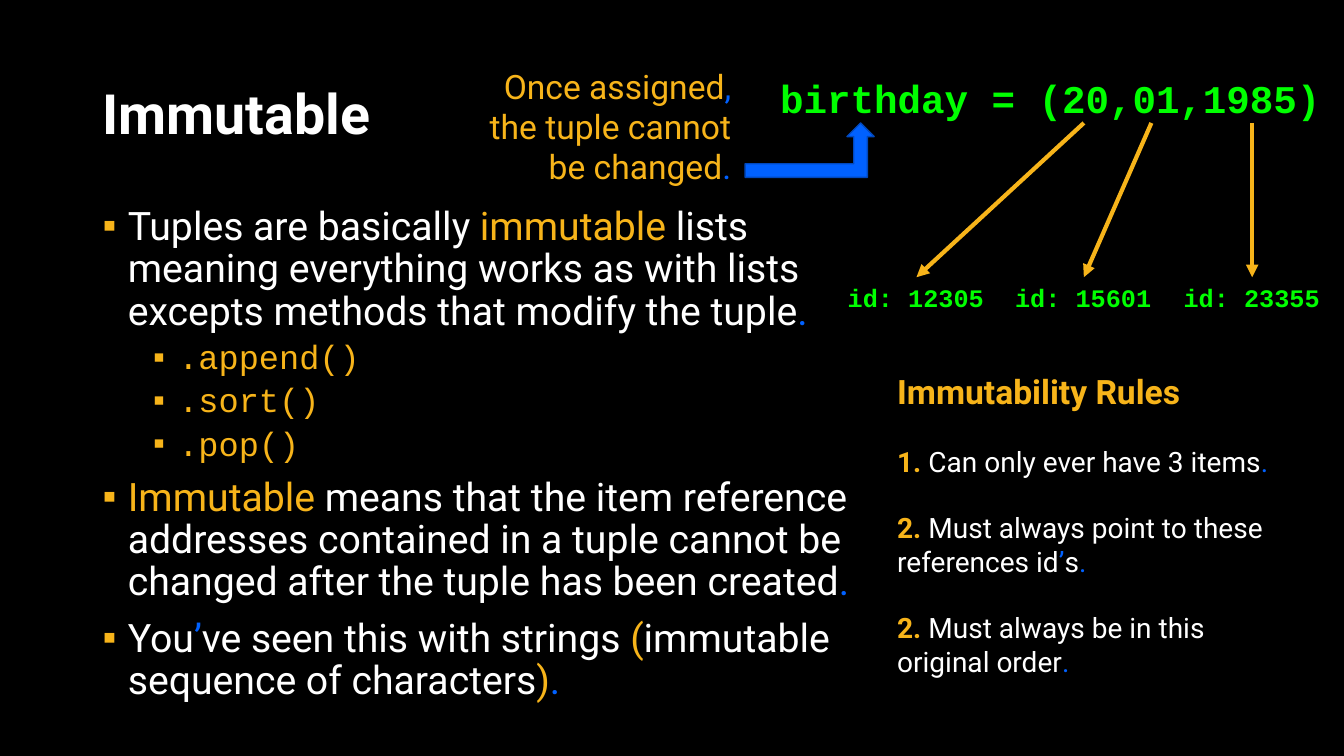
import pptx
import pptx.dml.color
import pptx.enum.shapes
import pptx.enum.text
import pptx.oxml.ns
import pptx.util
from lxml import etree
from pptx.util import Inches

WHITE, GOLD, BLUE, GREEN = "FFFFFF", "F7B41A", "0061FF", "00FF00"
ALIGN = pptx.enum.text.PP_ALIGN
SHAPES = pptx.enum.shapes.MSO_SHAPE


def rgb(code):
    return pptx.dml.color.RGBColor.from_string(code)


def write(box, runs, size, font="Roboto", bold=False, align=ALIGN.LEFT,
          before=0, spacing=1.0, indent=None):
    frame = box.text_frame
    paragraph = frame.paragraphs[0]
    if paragraph.runs:
        paragraph = frame.add_paragraph()
    paragraph.alignment = align
    paragraph.line_spacing = spacing
    paragraph.space_before = pptx.util.Pt(before)
    for text, colour, *emphasis in runs:
        run = paragraph.add_run()
        run.text = text
        run.font.name = font
        run.font.size = pptx.util.Pt(size)
        run.font.bold = emphasis[0] if emphasis else bold
        run.font.color.rgb = rgb(colour)
    if indent is not None:
        props = paragraph._p.get_or_add_pPr()
        props.set("marL", str(Inches(indent)))
        props.set("indent", str(Inches(-0.25)))
        qn = pptx.oxml.ns.qn
        bullet_colour = etree.SubElement(props, qn("a:buClr"))
        etree.SubElement(bullet_colour, qn("a:srgbClr"), val=GOLD)
        etree.SubElement(props, qn("a:buFont"), typeface="Arial")
        etree.SubElement(props, qn("a:buChar"), char="▪")


presentation = pptx.Presentation()
presentation.slide_width = Inches(13.33)
presentation.slide_height = Inches(7.5)
slide = presentation.slides.add_slide(presentation.slide_layouts[6])
slide.background.fill.solid()
slide.background.fill.fore_color.rgb = rgb("000000")
shapes = slide.shapes

title = shapes.add_textbox(Inches(0.92), Inches(0.8), Inches(3.4), Inches(0.72))
title.text_frame.vertical_anchor = pptx.enum.text.MSO_ANCHOR.MIDDLE
write(title, [("Immutable", WHITE)], 39.6, bold=True, spacing=0.9)

explanation = shapes.add_textbox(Inches(0.92), Inches(2), Inches(7.94), Inches(5.29))
explanation.text_frame.word_wrap = True
point = dict(size=28, before=10, spacing=0.9, indent=0.25)
write(explanation, [
    ("Tuples are basically ", WHITE), ("immutable", GOLD),
    (" lists meaning everything works as with lists excepts methods that modify the tuple", WHITE),
    (".", BLUE)], **point)
for method in (".append()", ".sort()", ".pop()"):
    write(explanation, [(method, GOLD)], 24, font="Courier New",
          before=5, spacing=0.9, indent=0.75)
write(explanation, [
    ("Immutable", GOLD),
    (" means that the item reference addresses contained in a tuple cannot be changed "
     "after the tuple has been created", WHITE),
    (".", BLUE)], **point)
write(explanation, [
    ("You", WHITE), ("’", BLUE), ("ve seen this with strings ", WHITE), ("(", GOLD),
    ("immutable sequence of characters", WHITE), (")", GOLD), (".", BLUE)], **point)

assignment = shapes.add_textbox(Inches(7.64), Inches(0.69), Inches(5.6), Inches(0.57))
assignment.text_frame.word_wrap = False
write(assignment, [("birthday = (20,01,1985)", GREEN)], 28, font="Courier New", bold=True)

warning = shapes.add_textbox(Inches(4.43), Inches(0.6), Inches(2.92), Inches(1.31))
warning.text_frame.word_wrap = True
write(warning, [("Once assigned", GOLD), (", ", BLUE),
                ("the tuple cannot be changed", GOLD), (".", BLUE)], 24, align=ALIGN.RIGHT)

warning_arrow = shapes.add_shape(SHAPES.BENT_UP_ARROW, Inches(7.39), Inches(1.22),
                                 Inches(1.28), Inches(0.54))
warning_arrow.shadow.inherit = False
warning_arrow.fill.solid()
warning_arrow.fill.fore_color.rgb = rgb(BLUE)
warning_arrow.line.color.rgb = rgb("0048BD")
warning_arrow.line.width = pptx.util.Pt(1)

references = [("12305", 8.31, 10.75), ("15601", 9.97, 11.42), ("23355", 11.64, 12.42)]
for address, left, item_x in references:
    pointer = shapes.add_connector(pptx.enum.shapes.MSO_CONNECTOR.STRAIGHT,
                                   Inches(item_x), Inches(1.22),
                                   Inches(left + 0.78), Inches(2.75))
    pointer.line.color.rgb = rgb(GOLD)
    pointer.line.width = pptx.util.Pt(3)
    etree.SubElement(pointer.line._get_or_add_ln(), pptx.oxml.ns.qn("a:tailEnd"), type="triangle")
    etree.SubElement(pointer._element.spPr, pptx.oxml.ns.qn("a:effectLst"))

    reference = shapes.add_textbox(Inches(left), Inches(2.75), Inches(1.56), Inches(0.4))
    reference.text_frame.word_wrap = False
    write(reference, [(f"id: {address}", GREEN)], 18, font="Courier New", bold=True)

rules = shapes.add_textbox(Inches(8.8), Inches(3.63), Inches(4.19), Inches(3.26))
rules.text_frame.word_wrap = True
write(rules, [("Immutability Rules", GOLD)], 24, bold=True)
for number, wording in [
    ("1. ", [("Can only ever have 3 items", WHITE)]),
    ("2. ", [("Must always point to these references id", WHITE), ("’", BLUE), ("s", WHITE)]),
    ("2. ", [("Must always be in this original order", WHITE)]),
]:
    write(rules, [(number, GOLD, True), *wording, (".", BLUE)], 20, before=23.5)

presentation.save("out.pptx")
